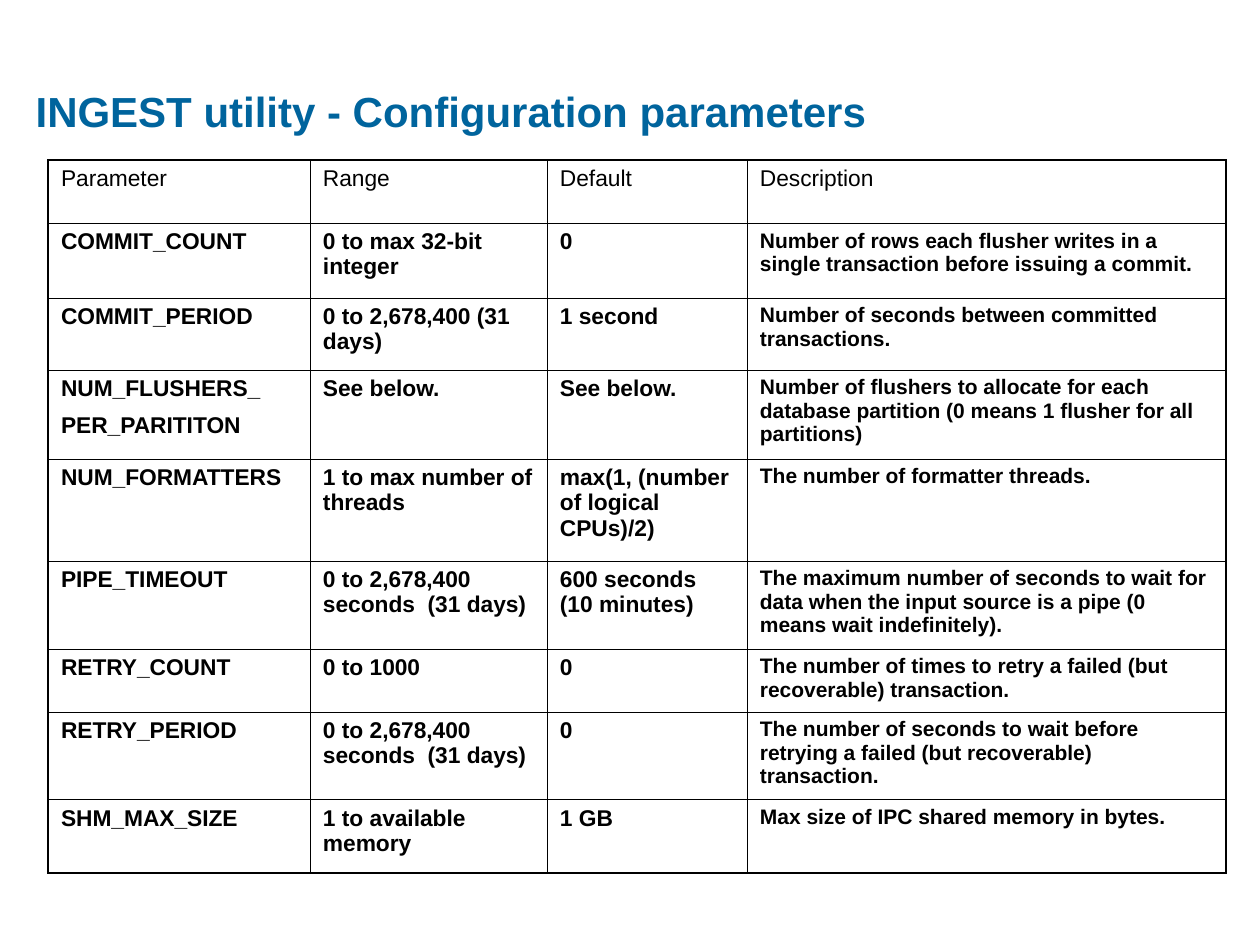
from dataclasses import dataclass

from lxml.etree import SubElement
from pptx import Presentation
from pptx.dml.color import RGBColor
from pptx.enum.text import MSO_ANCHOR, PP_ALIGN
from pptx.oxml.ns import qn
from pptx.util import Pt

PX = 914400 / 126


@dataclass(frozen=True)
class Theme:
    font: str = "Arial"
    title: str = "00649D"
    ink: str = "000000"
    title_size: int = 24
    body_size: int = 13
    note_size: int = 12
    outer_line: float = 1.08
    inner_line: float = 0.45


THEME = Theme()
COL_WIDTHS = [262, 237, 200, 479]
ROW_HEIGHTS = [63, 75, 72, 89, 102, 88, 63, 88, 73]
HEADER = ("Parameter", "Range", "Default", "Description")
PARAMETERS = [
    ("COMMIT_COUNT", "0 to max 32-bit integer", "0",
     "Number of rows each flusher writes in a single transaction before issuing a commit."),
    ("COMMIT_PERIOD", "0 to 2,678,400 (31 days)", "1 second",
     "Number of seconds between committed transactions."),
    ("NUM_FLUSHERS_\nPER_PARITITON", "See below.", "See below.",
     "Number of flushers to allocate for each database partition "
     "(0 means 1 flusher for all partitions)"),
    ("NUM_FORMATTERS", "1 to max number of threads", "max(1, (number of logical CPUs)/2)",
     "The number of formatter threads."),
    ("PIPE_TIMEOUT", "0 to 2,678,400 seconds  (31 days)", "600 seconds (10 minutes)",
     "The maximum number of seconds to wait for data when the input source is a pipe "
     "(0 means wait indefinitely)."),
    ("RETRY_COUNT", "0 to 1000", "0",
     "The number of times to retry a failed (but recoverable) transaction."),
    ("RETRY_PERIOD", "0 to 2,678,400 seconds  (31 days)", "0",
     "The number of seconds to wait before retrying a failed (but recoverable) transaction."),
    ("SHM_MAX_SIZE", "1 to available memory", "1 GB",
     "Max size of IPC shared memory in bytes."),
]


def px(n):
    return round(n * PX)


def add_run(p, text, size, color, bold):
    r = p.add_run()
    r.text = text
    r.font.name = THEME.font
    r.font.size = Pt(size)
    r.font.bold = bold
    r.font.color.rgb = RGBColor.from_string(color)


def set_title(s, text, left, top, width, height):
    sp = s.shapes.title
    sp.left, sp.top, sp.width, sp.height = map(px, (left, top, width, height))
    tf = sp.text_frame
    tf.word_wrap = True
    tf.vertical_anchor = MSO_ANCHOR.BOTTOM
    p = tf.paragraphs[0]
    p.alignment = PP_ALIGN.LEFT
    p.line_spacing = 1.0
    add_run(p, text, THEME.title_size, THEME.title, True)


def set_borders(cell, widths):
    tc_pr = cell._tc.get_or_add_tcPr()
    for side, width in zip("LRTB", widths):
        ln = SubElement(tc_pr, qn(f"a:ln{side}"), w=str(Pt(width)))
        fill = SubElement(ln, qn("a:solidFill"))
        SubElement(fill, qn("a:srgbClr"), val=THEME.ink)


def fill_cell(cell, text, size, bold):
    cell.margin_left = cell.margin_right = px(13)
    cell.margin_top = cell.margin_bottom = px(6)
    cell.vertical_anchor = MSO_ANCHOR.TOP
    tf = cell.text_frame
    for i, line in enumerate(text.split("\n")):
        p = tf.add_paragraph() if i else tf.paragraphs[0]
        p.space_before = Pt(4 if i else 0)
        p.space_after = Pt(2.4)
        add_run(p, line, size, THEME.ink, bold)


def add_parameter_table(s, left, top):
    rows = [HEADER, *PARAMETERS]
    last_row, last_col = len(rows) - 1, len(HEADER) - 1
    frame = s.shapes.add_table(len(rows), len(HEADER), px(left), px(top),
                               px(sum(COL_WIDTHS)), px(sum(ROW_HEIGHTS)))
    table = frame.table
    table.first_row = table.horz_banding = False
    for col, width in zip(table.columns, COL_WIDTHS):
        col.width = px(width)
    for row, height in zip(table.rows, ROW_HEIGHTS):
        row.height = px(height)
    for i, texts in enumerate(rows):
        for j, text in enumerate(texts):
            cell = table.cell(i, j)
            edges = (j == 0, j == last_col, i == 0, i == last_row)
            set_borders(cell, [THEME.outer_line if e else THEME.inner_line for e in edges])
            cell.fill.background()
            note = i > 0 and j == last_col
            fill_cell(cell, text, THEME.note_size if note else THEME.body_size, i > 0)


def main():
    prs = Presentation()
    prs.slide_width, prs.slide_height = px(1260), px(945)
    s = prs.slides.add_slide(prs.slide_layouts[5])
    set_title(s, "INGEST utility - Configuration parameters", 23, 79, 1182, 63)
    add_parameter_table(s, 48, 160)
    prs.save("out.pptx")


if __name__ == "__main__":
    main()
